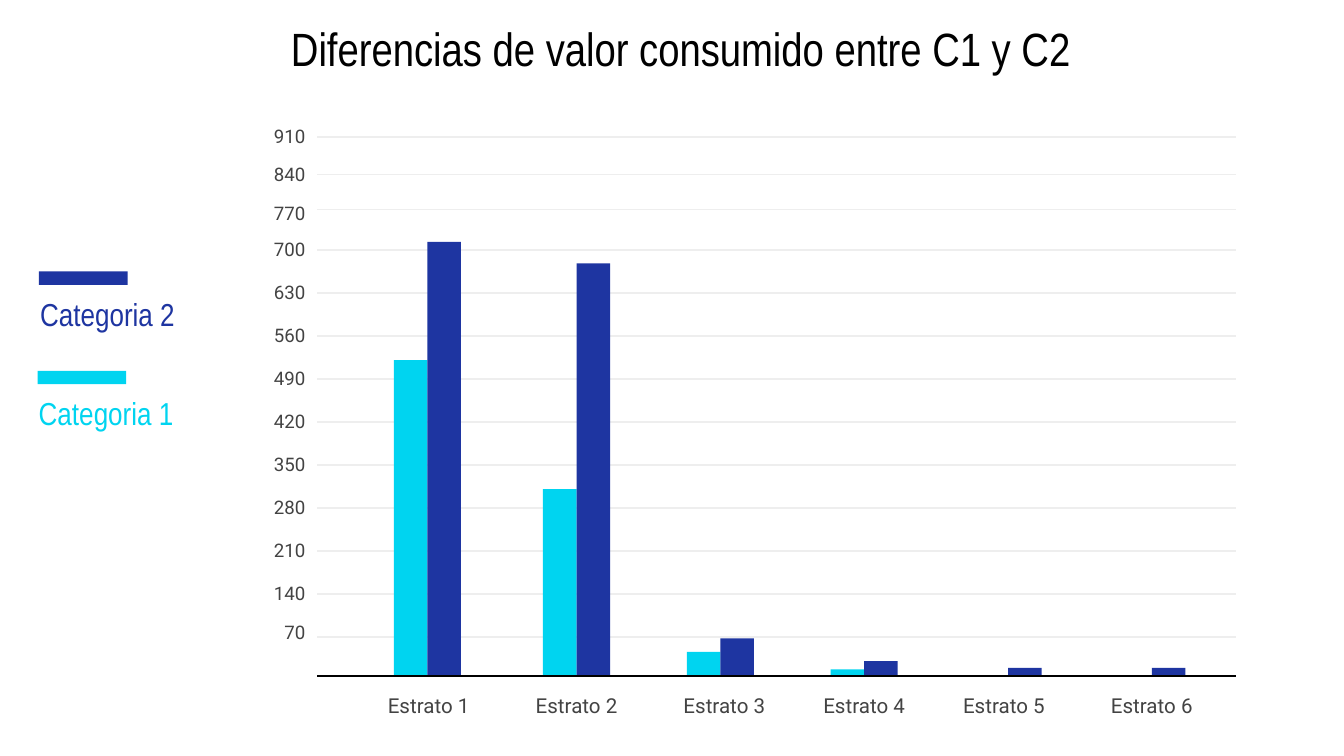
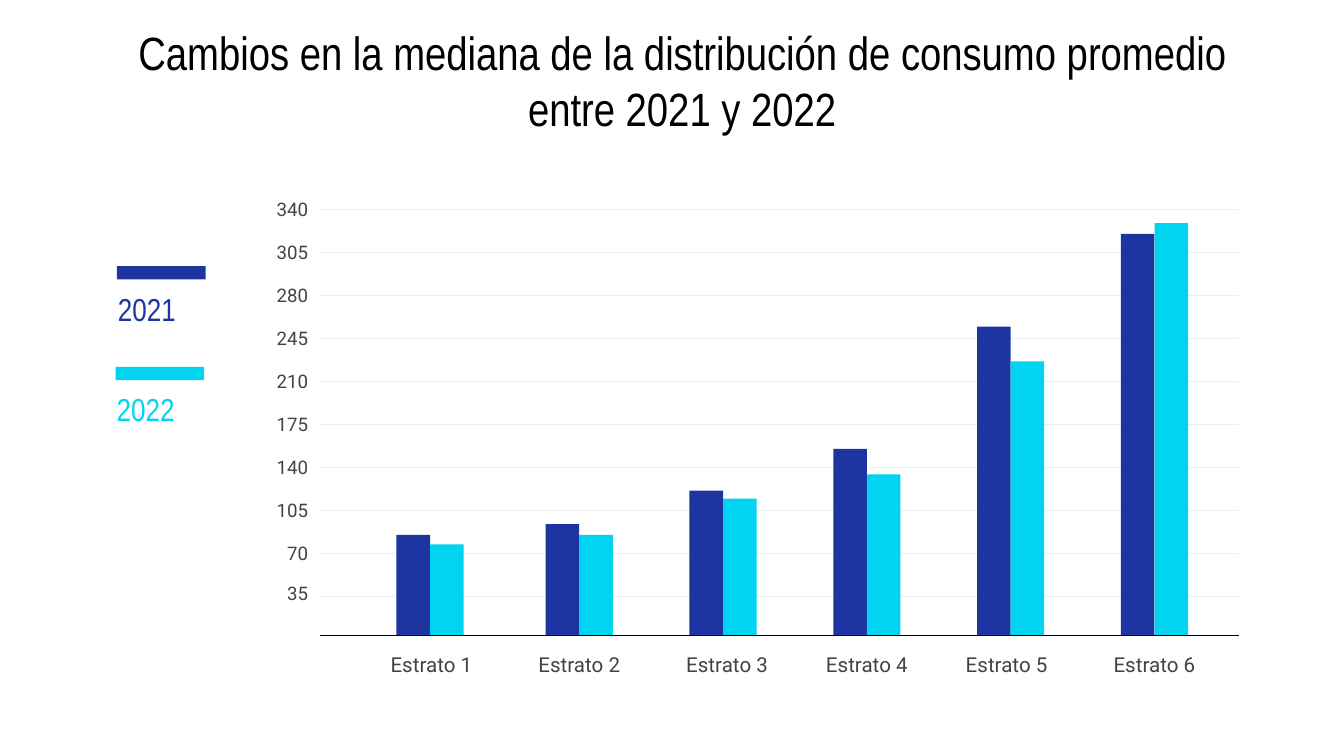
from dataclasses import dataclass

from lxml.etree import SubElement
from pptx import Presentation
from pptx.dml.color import RGBColor
from pptx.enum.shapes import MSO_CONNECTOR, MSO_SHAPE
from pptx.enum.text import MSO_ANCHOR, PP_ALIGN
from pptx.oxml.ns import qn
from pptx.util import Inches, Pt


@dataclass(frozen=True)
class Theme:
    navy: str = "1E35A1"
    cyan: str = "00D4F0"
    grey: str = "434343"
    grid: str = "EEEEEE"
    black: str = "000000"
    heading_font: str = "Arial Narrow"
    label_font: str = "Roboto"
    title_size: int = 25
    legend_size: int = 17
    category_size: int = 11
    tick_size: int = 10
    line_width: float = 0.75


THEME = Theme()

# Content: bars give the heights in inches of each pair, left then right
CATEGORIES = [f"Estrato {number}" for number in range(1, 7)]
SLIDES = [
    {
        "title": "Diferencias de valor consumido entre C1 y C2",
        "title_at": (0.58, 0.09),
        "legend": [("Categoria 2", THEME.navy, 0.29, 2.02),
                   ("Categoria 1", THEME.cyan, 0.28, 2.76)],
        "bar_colours": (THEME.cyan, THEME.navy),
        "bars": [(2.35, 3.23), (1.39, 3.07), (0.18, 0.28),
                 (0.05, 0.11), (0, 0.06), (0, 0.06)],
        "ticks": [70, 140, 210, 280, 350, 420, 490, 560, 630, 700, 770, 840, 910],
        "upper_lines": [1.56, 1.3, 1.02],
        "nudges": {70: -0.03, 770: 0.03},
        "axis": (2.36, 5.03),
    },
    {
        "title": "Cambios en la mediana de la distribución de consumo promedio entre 2021 y 2022",
        "title_at": (0.59, 0.33),
        "legend": [("2021", THEME.navy, 0.87, 1.98),
                   ("2022", THEME.cyan, 0.86, 2.73)],
        "bar_colours": (THEME.navy, THEME.cyan),
        "bars": [(0.75, 0.68), (0.83, 0.75), (1.08, 1.02),
                 (1.39, 1.2), (2.3, 2.04), (2.99, 3.07)],
        "ticks": [35, 70, 105, 140, 175, 210, 245, 280, 305, 340],
        "upper_lines": [],
        "nudges": {35: -0.02},
        "axis": (2.38, 4.73),
    },
]

# Layout, in inches; offsets run from the left end of the axis
AXIS_WIDTH = 6.84
FIRST_LINE, LINE_STEP, REGULAR_LINES = 0.29, 0.32, 10
BAR_WIDTH, FIRST_BAR, SECOND_BAR, BAR_STEP = 0.25, 0.57, 1.68, 1.07
CATEGORY_OFFSETS = [0.37, 1.47, 2.57, 3.61, 4.65, 5.75]


def add_text(page, text, place, font, size, colour, align=PP_ALIGN.LEFT):
    box = page.shapes.add_textbox(*map(Inches, place))
    frame = box.text_frame
    formats = {"word_wrap": True, "vertical_anchor": MSO_ANCHOR.MIDDLE}
    formats |= {f"margin_{side}": Inches(0.1) for side in ("left", "right", "top", "bottom")}
    for name, value in formats.items():
        setattr(frame, name, value)
    para = frame.paragraphs[0]
    para.alignment = align
    span = para.add_run()
    span.text = text
    for name, value in {"name": font, "size": Pt(size)}.items():
        setattr(span.font, name, value)
    span.font.color.rgb = RGBColor.from_string(colour)


def add_block(page, place, colour):
    block = page.shapes.add_shape(MSO_SHAPE.RECTANGLE, *map(Inches, place))
    block.shadow.inherit = False
    block.fill.solid()
    block.fill.fore_color.rgb = RGBColor.from_string(colour)
    block.line.fill.background()


def add_level(page, left, top, colour):
    ends = (left, top, left + AXIS_WIDTH, top)
    line = page.shapes.add_connector(MSO_CONNECTOR.STRAIGHT, *map(Inches, ends))
    line.line.color.rgb = RGBColor.from_string(colour)
    line.line.width = Pt(THEME.line_width)
    SubElement(line._element.spPr, qn("a:effectLst"))


def add_scale(page, content):
    left, base = content["axis"]
    levels = [base - FIRST_LINE - LINE_STEP * row for row in range(REGULAR_LINES)]
    levels += content["upper_lines"]
    for tick, level in zip(content["ticks"], levels):
        add_level(page, left, level, THEME.grid)
        top = level - 0.14 + content["nudges"].get(tick, 0)
        add_text(page, str(tick), (left - 0.6, top, 0.61, 0.27), THEME.label_font,
                 THEME.tick_size, THEME.grey, PP_ALIGN.RIGHT)


def add_bars(page, content):
    left, base = content["axis"]
    for index, heights in enumerate(content["bars"]):
        offset = SECOND_BAR + BAR_STEP * (index - 1) if index else FIRST_BAR
        for side, (height, colour) in enumerate(zip(heights, content["bar_colours"])):
            if height:
                bar_left = left + offset + BAR_WIDTH * side
                add_block(page, (bar_left, base - height, BAR_WIDTH, height), colour)
    add_level(page, left, base, THEME.black)
    for category, offset in zip(CATEGORIES, CATEGORY_OFFSETS):
        add_text(page, category, (left + offset, base + 0.1, 0.92, 0.23),
                 THEME.label_font, THEME.category_size, THEME.grey, PP_ALIGN.CENTER)


def add_legend(page, entries):
    for name, colour, left, top in entries:
        add_text(page, name, (left - 0.09, top + 0.17, 1.94, 0.29),
                 THEME.heading_font, THEME.legend_size, colour)
        add_block(page, (left, top, 0.66, 0.1), colour)


def main():
    deck = Presentation()
    # Widescreen, 16 to 9
    deck.slide_width = Inches(10)
    deck.slide_height = deck.slide_width * 9 // 16
    for content in SLIDES:
        page = deck.slides.add_slide(deck.slide_layouts[6])
        add_scale(page, content)
        add_text(page, content["title"], (*content["title_at"], 8.97, 0.53),
                 THEME.heading_font, THEME.title_size, THEME.black, PP_ALIGN.CENTER)
        add_legend(page, content["legend"])
        add_bars(page, content)
    deck.save("out.pptx")


if __name__ == "__main__":
    main()
